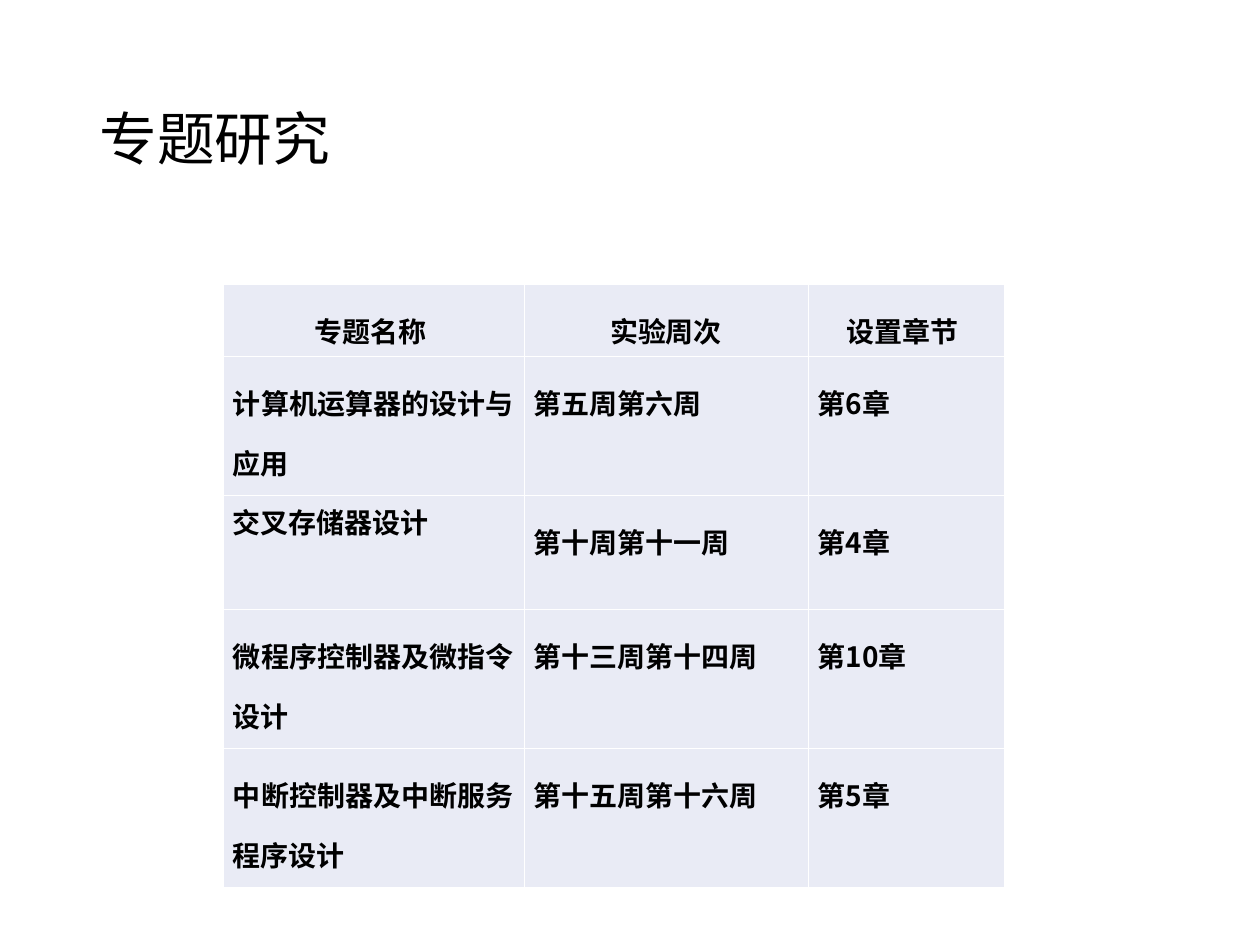
"""Build the slide listing research topics with their weeks and chapters."""
from dataclasses import dataclass

from lxml import etree
from pptx import Presentation
from pptx.dml.color import RGBColor
from pptx.enum.text import MSO_ANCHOR, PP_ALIGN
from pptx.oxml.ns import qn
from pptx.util import Emu, Pt


@dataclass(frozen=True)
class Theme:
    font: str = "Noto Sans CJK SC"
    ink: str = "000000"
    cell: str = "E9EBF5"
    border: str = "FFFFFF"
    title_size: int = 33
    cell_size: int = 16
    border_width: float = 0.45


def px(length):
    return Emu(round(length * 914400 / 126))


def style_text(paragraph, size, bold, spacing, align):
    paragraph.line_spacing = spacing
    paragraph.alignment = align
    for run in paragraph.runs:
        run.font.size = Pt(size)
        run.font.bold = bold
        run.font.name = theme.font
        run.font.color.rgb = RGBColor.from_string(theme.ink)
        east_asian = etree.SubElement(run.font._element, qn("a:ea"))
        east_asian.set("typeface", theme.font)


theme = Theme()
prs = Presentation()
prs.slide_width, prs.slide_height = px(1260), px(945)
slide = prs.slides.add_slide(prs.slide_layouts[6])

title = slide.shapes.add_textbox(px(87), px(50), px(1087), px(183)).text_frame
title.word_wrap = True
title.vertical_anchor = MSO_ANCHOR.MIDDLE
title.text = "专题研究"
style_text(title.paragraphs[0], theme.title_size, False, 0.9, PP_ALIGN.LEFT)

topics = [
    ("专题名称 ", "实验周次", "设置章节 "),
    ("计算机运算器的设计与应用", "第五周第六周", "第6章"),
    ("交叉存储器设计", "第十周第十一周", "第4章"),
    ("微程序控制器及微指令设计", "第十三周第十四周", "第10章"),
    ("中断控制器及中断服务程序设计", "第十五周第十六周", "第5章"),
]
column_widths = [301, 284, 196]
row_heights = [72, 139, 114, 139, 139]

schedule = slide.shapes.add_table(
    len(topics), len(column_widths), px(223), px(284),
    px(sum(column_widths)), px(sum(row_heights))).table
schedule.first_row = schedule.horz_banding = False
for column, width in zip(schedule.columns, column_widths):
    column.width = px(width)
for row, height in zip(schedule.rows, row_heights):
    row.height = px(height)

for row_index, entries in enumerate(topics):
    for column_index, entry in enumerate(entries):
        cell = schedule.cell(row_index, column_index)
        cell.margin_left = cell.margin_right = px(10)
        cell.margin_top = cell.margin_bottom = px(6)
        cell.text = entry
        spacing = 1.0 if (row_index, column_index) == (2, 0) else 1.5
        align = PP_ALIGN.JUSTIFY if row_index else PP_ALIGN.CENTER
        style_text(cell.text_frame.paragraphs[0], theme.cell_size, True, spacing, align)
        properties = cell._tc.get_or_add_tcPr()
        for side in ("a:lnL", "a:lnR", "a:lnT", "a:lnB"):
            line = etree.SubElement(properties, qn(side), w=str(Pt(theme.border_width)))
            paint = etree.SubElement(line, qn("a:solidFill"))
            etree.SubElement(paint, qn("a:srgbClr"), val=theme.border)
        cell.fill.solid()
        cell.fill.fore_color.rgb = RGBColor.from_string(theme.cell)

prs.save("out.pptx")
